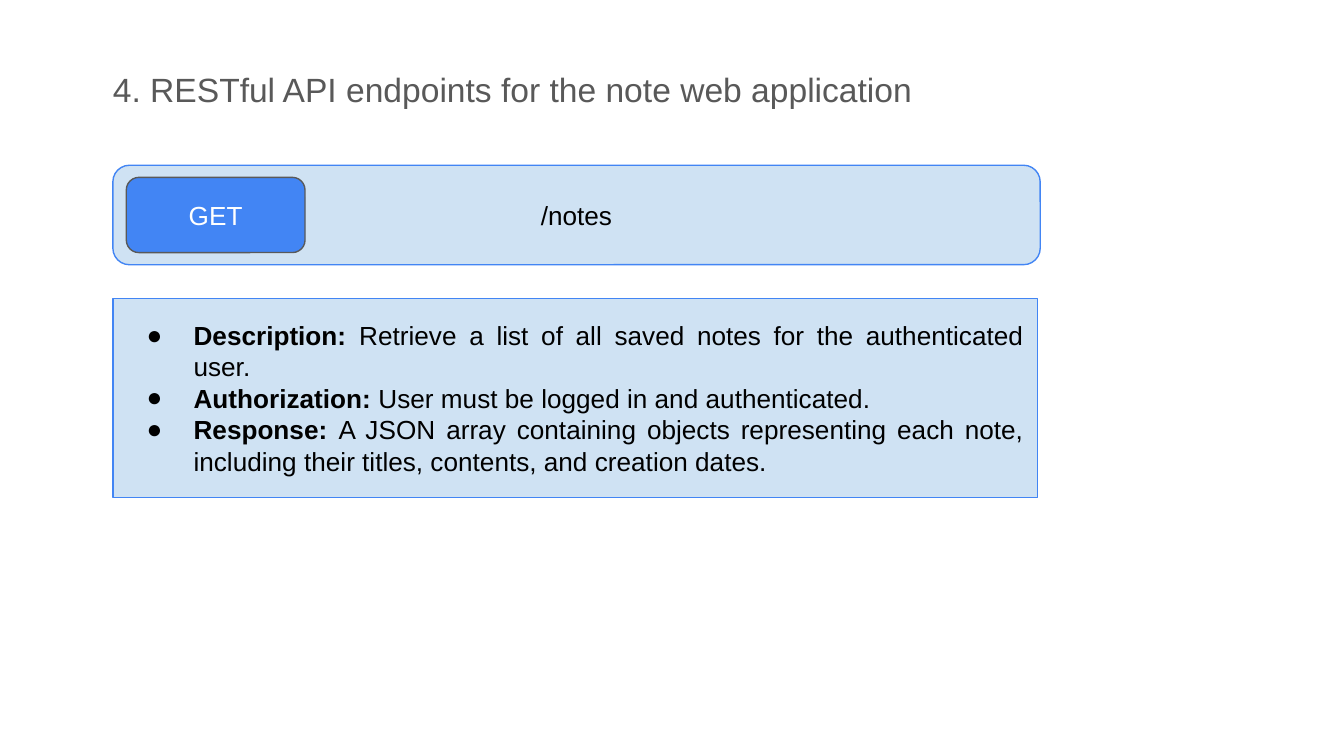
from lxml import etree
from pptx import Presentation
from pptx.dml.color import RGBColor
from pptx.enum import shapes, text
from pptx.oxml import ns
from pptx.util import Inches, Pt

COLORS = {
    "title": "595959",
    "panel": "CFE2F3",
    "accent": "4285F4",
    "text": "000000",
    "light": "FFFFFF",
}
FONT = "Arial"
DETAILS = [
    ("Description:", " Retrieve a list of all saved notes for the authenticated user."),
    ("Authorization:", " User must be logged in and authenticated."),
    ("Response: ", "A JSON array containing objects representing each note, "
                   "including their titles, contents, and creation dates."),
]


def rgb(name):
    return RGBColor.from_string(COLORS[name])


def place(shape, left, top, width, height):
    shape.left, shape.top = Inches(left), Inches(top)
    shape.width, shape.height = Inches(width), Inches(height)


def paint(shape, fill, line):
    shape.fill.solid()
    shape.fill.fore_color.rgb = rgb(fill)
    shape.line.color.rgb = rgb(line)
    shape.line.width = Pt(0.75)


def set_frame(shape, anchor, auto_size=text.MSO_AUTO_SIZE.NONE):
    frame = shape.text_frame
    frame.word_wrap = True
    frame.auto_size = auto_size
    frame.vertical_anchor = anchor
    frame.margin_left = frame.margin_right = Inches(0.1)
    frame.margin_top = frame.margin_bottom = Inches(0.1)
    return frame


def format_para(para, size, color, align):
    para.alignment = align
    para.font.name = FONT
    para.font.size = Pt(size)
    para.font.color.rgb = rgb(color)


def add_bullet(para):
    """Give the paragraph a hanging round bullet in the text colour."""
    props = para._p.get_or_add_pPr()
    props.set("marL", str(Inches(0.5)))
    props.set("indent", str(-Inches(0.35)))
    color = etree.SubElement(props, ns.qn("a:buClr"))
    etree.SubElement(color, ns.qn("a:srgbClr"), val=COLORS["text"])
    etree.SubElement(props, ns.qn("a:buFont"), typeface=FONT)
    etree.SubElement(props, ns.qn("a:buChar"), char="●")


def fill_title(title, box, wording):
    place(title, *box)
    frame = set_frame(title, text.MSO_ANCHOR.TOP, text.MSO_AUTO_SIZE.SHAPE_TO_FIT_TEXT)
    frame.text = wording
    format_para(frame.paragraphs[0], 18, "title", text.PP_ALIGN.LEFT)


def add_label(page, box, wording, fill, line, color):
    """Add a rounded rectangle with a centred label."""
    label = page.shapes.add_shape(
        shapes.MSO_SHAPE.ROUNDED_RECTANGLE, *[Inches(length) for length in box])
    label.shadow.inherit = False
    paint(label, fill, line)
    frame = set_frame(label, text.MSO_ANCHOR.MIDDLE)
    frame.text = wording
    format_para(frame.paragraphs[0], 14, color, text.PP_ALIGN.CENTER)


def add_endpoint_bar(page, box, method, route):
    left, top, width, height = box
    add_label(page, box, route, "panel", "accent", "text")
    badge = (left + 0.1, top + 0.09, 1.33, height - 0.18)
    add_label(page, badge, method, "accent", "title", "light")


def fill_details(body, box, details):
    place(body, *box)
    paint(body, "panel", "accent")
    frame = set_frame(body, text.MSO_ANCHOR.MIDDLE)
    for index, (heading, detail) in enumerate(details):
        para = frame.add_paragraph() if index else frame.paragraphs[0]
        para.line_spacing = 1.0
        para.space_before = Pt(0)
        add_bullet(para)
        format_para(para, 14, "text", text.PP_ALIGN.JUSTIFY)
        for wording, bold in ((heading, True), (detail, False)):
            span = para.add_run()
            span.text = wording
            span.font.bold = bold


def main():
    deck = Presentation()
    deck.slide_width = Inches(10)
    deck.slide_height = deck.slide_width * 9 // 16
    page = deck.slides.add_slide(deck.slide_layouts[1])
    fill_title(page.shapes.title, (0.74, 0.41, 6.97, 0.5),
               "4. RESTful API endpoints for the note web application")
    add_endpoint_bar(page, (0.84, 1.23, 6.9, 0.74), "GET", "/notes")
    fill_details(page.placeholders[1], (0.84, 2.22, 6.88, 1.48), DETAILS)
    deck.save("out.pptx")


if __name__ == "__main__":
    main()
